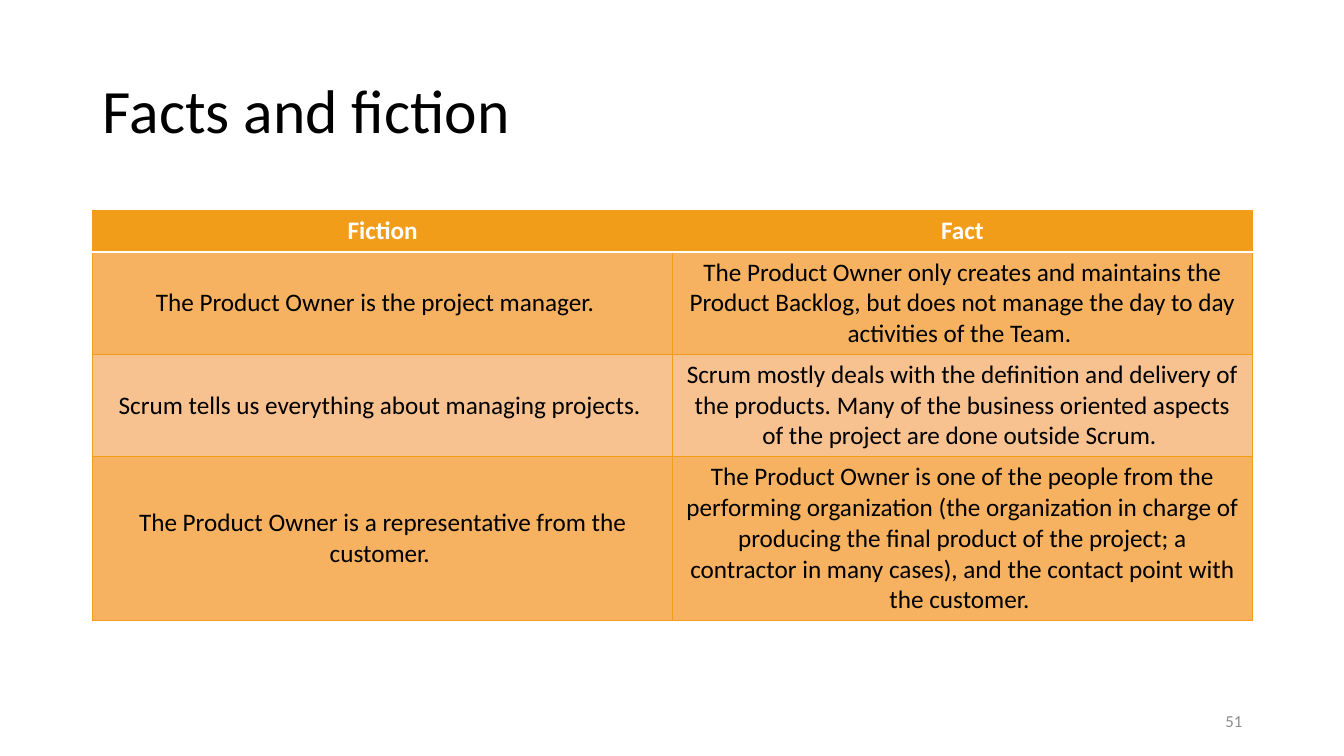
from dataclasses import dataclass

from lxml import etree
from pptx import Presentation
from pptx.dml.color import RGBColor
from pptx.enum.text import MSO_ANCHOR, MSO_AUTO_SIZE, PP_ALIGN
from pptx.oxml.ns import qn
from pptx.util import Inches, Pt

LEFT, CENTER, RIGHT = PP_ALIGN.LEFT, PP_ALIGN.CENTER, PP_ALIGN.RIGHT
MIDDLE = MSO_ANCHOR.MIDDLE
NO_AUTOFIT = MSO_AUTO_SIZE.NONE

TITLE = "Facts and fiction"
PAGE_NUMBER = "51"
ROWS = [
    ("Fiction", "Fact"),
    ("The Product Owner is the project manager. \t",
     "The Product Owner only creates and maintains the Product Backlog, "
     "but does not manage the day to day activities of the Team. "),
    ("Scrum tells us everything about managing projects. ",
     "Scrum mostly deals with the definition and delivery of the products. "
     "Many of the business oriented aspects of the project are done outside Scrum. "),
    ("The Product Owner is a representative from the customer. ",
     "The Product Owner is one of the people from the performing organization "
     "(the organization in charge of producing the final product of the project; "
     "a contractor in many cases), and the contact point with the customer. "),
]
ROW_HEIGHTS = [0.41, 1.01, 1.01, 1.62]
MARGIN, CONTENT_WIDTH = 0.92, 11.5


@dataclass(frozen=True)
class Theme:
    font: str = "Calibri"
    text: str = "000000"
    light: str = "FFFFFF"
    muted: str = "8C8C8C"
    accent: str = "F19D19"
    band_dark: str = "F6B261"
    band_light: str = "F8C190"
    title_size: int = 44
    table_size: int = 18
    number_size: int = 12


THEME = Theme()


def style_paragraph(para, size, color, align, bold=False):
    para.alignment = align
    para.font.name = THEME.font
    para.font.size = Pt(size)
    para.font.bold = bold
    para.font.color.rgb = RGBColor.from_string(color)


def add_border(cell, side, color, points):
    """Draw one cell border; side is L, R, T or B, added in that order."""
    line = etree.SubElement(cell._tc.get_or_add_tcPr(), qn(f"a:ln{side}"), w=str(Pt(points)))
    fill = etree.SubElement(line, qn("a:solidFill"))
    etree.SubElement(fill, qn("a:srgbClr"), val=color)


def add_title(page):
    title = page.shapes.title
    title.left, title.top = Inches(MARGIN), Inches(0.4)
    title.width, title.height = Inches(CONTENT_WIDTH), Inches(1.45)
    frame = title.text_frame
    frame.text = TITLE
    frame.auto_size = NO_AUTOFIT
    frame.vertical_anchor = MIDDLE
    para = frame.paragraphs[0]
    para.line_spacing = 0.9
    style_paragraph(para, THEME.title_size, THEME.text, LEFT)


def format_cell(cell, row):
    is_header = row == 0
    header_rule_side = {0: "B", 1: "T"}.get(row)
    for side in "LRTB":
        if side == header_rule_side:
            add_border(cell, side, THEME.light, 1)
        else:
            add_border(cell, side, THEME.accent, 0.5)
    band = THEME.band_dark if row % 2 else THEME.band_light
    cell.fill.solid()
    cell.fill.fore_color.rgb = RGBColor.from_string(THEME.accent if is_header else band)
    cell.vertical_anchor = MIDDLE
    style_paragraph(cell.text_frame.paragraphs[0], THEME.table_size,
                    THEME.light if is_header else THEME.text, CENTER, is_header)


def add_comparison(page):
    table = page.shapes.add_table(
        len(ROWS), len(ROWS[0]), Inches(MARGIN), Inches(2.09),
        Inches(CONTENT_WIDTH), Inches(sum(ROW_HEIGHTS))).table
    for row, (texts, height) in enumerate(zip(ROWS, ROW_HEIGHTS)):
        table.rows[row].height = Inches(height)
        for column, text in enumerate(texts):
            cell = table.cell(row, column)
            cell.text = text
            format_cell(cell, row)


def add_page_number(page):
    box = page.shapes.add_textbox(Inches(9.42), Inches(6.95), Inches(3), Inches(0.4))
    frame = box.text_frame
    frame.word_wrap = True
    frame.vertical_anchor = MIDDLE
    frame.text = PAGE_NUMBER
    style_paragraph(frame.paragraphs[0], THEME.number_size, THEME.muted, RIGHT)


def main():
    deck = Presentation()
    deck.slide_width, deck.slide_height = Inches(13.33), Inches(7.5)
    page = deck.slides.add_slide(deck.slide_layouts.get_by_name("Title Only"))
    add_title(page)
    add_comparison(page)
    add_page_number(page)
    deck.save("out.pptx")


if __name__ == "__main__":
    main()
